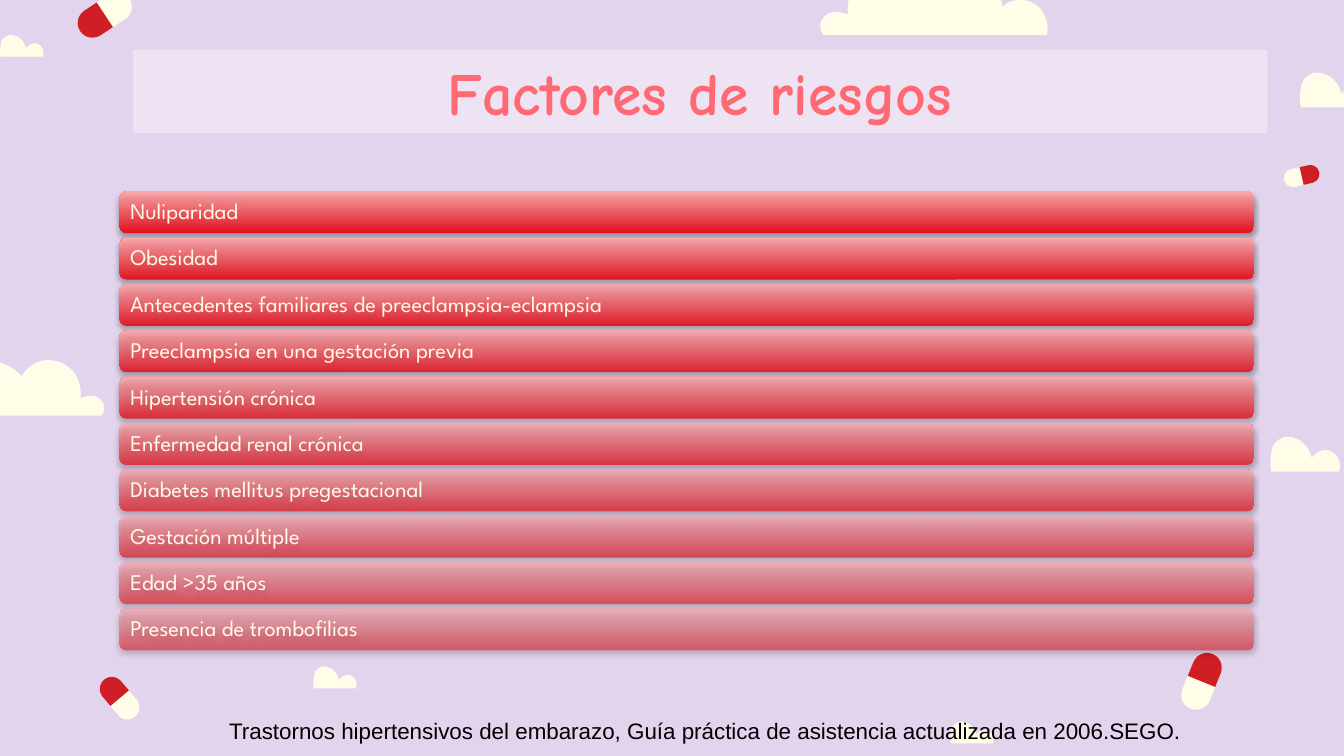
from lxml import etree
from pptx import Presentation
from pptx import util as u
from pptx.dml.color import RGBColor
from pptx.enum import shapes, text
from pptx.oxml.ns import qn

COLUMNS, ROWS = 100, 56.25
CELL = u.Inches(10) / COLUMNS
CREAM, RED, LILAC = "FFFDE8", "CF1E25", "E3D4ED"

SMALL_CLOUD = (53, (13, 0), [
    [(12, 0), (10, 0), (9, 1)], [(4, 3), (1, 7), (1, 12)], [(0, 17), (0, 21), (1, 26)],
    [(51, 26)],
    [(53, 23), (52, 18), (50, 15)], [(48, 12), (45, 10), (41, 10)], [(37, 10), (33, 13), (31, 16)],
    [(30, 10), (26, 5), (21, 2)], [(18, 1), (16, 0), (13, 0)]])
LARGE_CLOUD = (171, (49, 0), [
    [(41, 0), (34, 3), (28, 9)], [(22, 16), (20, 25), (21, 33)], [(19, 32), (15, 31), (12, 31)],
    [(6, 31), (3, 34), (1, 38)], [(0, 41), (0, 45), (3, 48)],
    [(169, 48)],
    [(171, 39), (167, 29), (160, 25)], [(157, 23), (153, 22), (149, 22)],
    [(144, 22), (139, 24), (136, 27)], [(135, 19), (129, 10), (121, 6)],
    [(116, 2), (109, 0), (102, 0)], [(91, 0), (79, 6), (72, 14)],
    [(68, 7), (60, 1), (52, 0)], [(51, 0), (50, 0), (49, 0)]])

CLOUDS = [
    (LARGE_CLOUD, 61, -2.2, 17.1, False),
    (SMALL_CLOUD, 94.5, 32.5, 5.3, False),
    (LARGE_CLOUD, -6.9, 26.8, 14.7, True),
    (SMALL_CLOUD, 23.3, 49.6, 3.3, False),
    (SMALL_CLOUD, 0, 2.6, 3.3, False),
    (SMALL_CLOUD, 96.7, 5.4, 5.3, False),
    (SMALL_CLOUD, 70.7, 53.7, 3.3, False),
]
PILLS = [(7.8, 1.1, 2.2, 236.5), (8.9, 51.95, 1.8, 320), (96.85, 13.1, 1.35, 77), (89.4, 50.7, 2.2, 22)]
RISK_FACTORS = [
    "Nuliparidad",
    "Obesidad",
    "Antecedentes familiares de preeclampsia-eclampsia",
    "Preeclampsia en una gestación previa",
    "Hipertensión crónica",
    "Enfermedad renal crónica",
    "Diabetes mellitus pregestacional",
    "Gestación múltiple",
    "Edad >35 años",
    "Presencia de trombofilias",
]


def color(hex_code):
    return RGBColor.from_string(hex_code)


def cells(*lengths):
    return [u.Emu(round(length * CELL)) for length in lengths]


def paint(shape, hex_code):
    shape.shadow.inherit = False
    shape.fill.solid()
    shape.fill.fore_color.rgb = color(hex_code)
    shape.line.fill.background()


def curve_points(start, controls, steps=8):
    a, b, end = controls
    for step in range(1, steps + 1):
        t = step / steps
        s = 1 - t
        yield tuple(s**3 * p + 3 * s * s * t * q + 3 * s * t * t * r + t**3 * w
                    for p, q, r, w in zip(start, a, b, end))


def add_cloud(slide, outline, left, top, width, mirrored):
    span, start, segments = outline
    points = [start]
    for segment in segments:
        points += segment if len(segment) == 1 else list(curve_points(points[-1], segment))
    scale = width / span
    corners = [cells(left + scale * (span - x if mirrored else x), top + scale * y) for x, y in points]
    builder = slide.shapes.build_freeform(*corners[0])
    builder.add_line_segments(corners[1:], close=True)
    paint(builder.convert_to_shape(), CREAM)


def add_pill(slide, center_x, center_y, width, angle):
    capsule = slide.shapes.add_shape(
        shapes.MSO_SHAPE.ROUNDED_RECTANGLE,
        *cells(center_x - width / 2, center_y - width, width, 2 * width))
    capsule.adjustments[0] = 0.5
    capsule.rotation = angle
    paint(capsule, CREAM)

    radians = math.radians(angle)
    cap_x = center_x + width / 2 * math.sin(radians)
    cap_y = center_y - width / 2 * math.cos(radians)
    cap = slide.shapes.add_shape(
        shapes.MSO_SHAPE.ROUND_2_SAME_RECTANGLE,
        *cells(cap_x - width / 2, cap_y - width / 2, width, width))
    cap.adjustments[0] = 0.5
    cap.rotation = angle
    paint(cap, RED)


def write(shape, words, font, size, hex_code, align, bold=False):
    frame = shape.text_frame
    frame.word_wrap = True
    paragraph = frame.paragraphs[0]
    paragraph.alignment = align
    run = paragraph.add_run()
    run.text = words
    run.font.name = font
    run.font.size = u.Pt(size)
    run.font.bold = bold
    run.font.color.rgb = color(hex_code)
    return run


def add_shadow(shape):
    shape.shadow.inherit = False
    effects = shape._element.spPr.find(qn("a:effectLst"))
    shadow = etree.SubElement(effects, qn("a:outerShdw"), blurRad=str(u.Pt(3.1)),
                              dist=str(u.Pt(1.8)), dir="5400000", rotWithShape="0")
    black = etree.SubElement(shadow, qn("a:srgbClr"), val="000000")
    etree.SubElement(black, qn("a:alpha"), val="35000")


def add_factor_bar(slide, row, factor):
    bar = slide.shapes.add_shape(
        shapes.MSO_SHAPE.ROUNDED_RECTANGLE, *cells(8.9, 14.25 + 3.45 * row, 84.4, 3.1))
    bar.fill.gradient()
    bar.fill.gradient_angle = 90
    opacity = 90 - 40 * row / (len(RISK_FACTORS) - 1)
    for stop, position, hex_code in zip(bar.fill.gradient_stops, (0, 1), ("EA030D", "FFA7A8")):
        stop.position = position
        stop.color.rgb = color(hex_code)
    for tint in bar._element.spPr.iter(qn("a:srgbClr")):
        etree.SubElement(tint, qn("a:alpha"), val=str(round(opacity) * 1000))
    bar.line.fill.background()
    add_shadow(bar)
    frame = bar.text_frame
    frame.margin_left, frame.margin_right, frame.margin_top, frame.margin_bottom = cells(0.65, 0.65, 0.5, 0.5)
    frame.vertical_anchor = text.MSO_ANCHOR.MIDDLE
    write(bar, factor, "League Spartan", 12, CREAM, text.PP_ALIGN.LEFT)
    frame.paragraphs[0].line_spacing = 0.9


def add_reference(slide):
    reference = slide.shapes.add_textbox(*cells(12.6, 52.9, 79.8, 3))
    write(reference, "Trastornos hipertensivos del embarazo, Guía práctica de asistencia actualizada en 2006.SEGO.",
          "Arial", 12, "000000", text.PP_ALIGN.CENTER)


def add_title(slide):
    title = slide.shapes.add_shape(shapes.MSO_SHAPE.RECTANGLE, *cells(9.9, 3.7, 84.4, 6.2))
    paint(title, "EEE3F3")
    title.text_frame.vertical_anchor = text.MSO_ANCHOR.MIDDLE
    run = write(title, "Factores de riesgos", "Comic Neue", 32, "FF6973", text.PP_ALIGN.CENTER, True)
    outline = etree.Element(qn("a:ln"), w=str(u.Pt(1)))
    stroke = etree.SubElement(outline, qn("a:solidFill"))
    etree.SubElement(stroke, qn("a:srgbClr"), val="FF0E39")
    run.font._element.insert(0, outline)


def main():
    deck = Presentation()
    deck.slide_width, deck.slide_height = cells(COLUMNS, ROWS)
    slide = deck.slides.add_slide(deck.slide_layouts[6])
    slide.background.fill.solid()
    slide.background.fill.fore_color.rgb = color(LILAC)
    for cloud in CLOUDS:
        add_cloud(slide, *cloud)
    for pill in PILLS:
        add_pill(slide, *pill)
    for row, factor in enumerate(RISK_FACTORS):
        add_factor_bar(slide, row, factor)
    add_reference(slide)
    add_title(slide)
    deck.save("out.pptx")


import math

if __name__ == "__main__":
    main()
